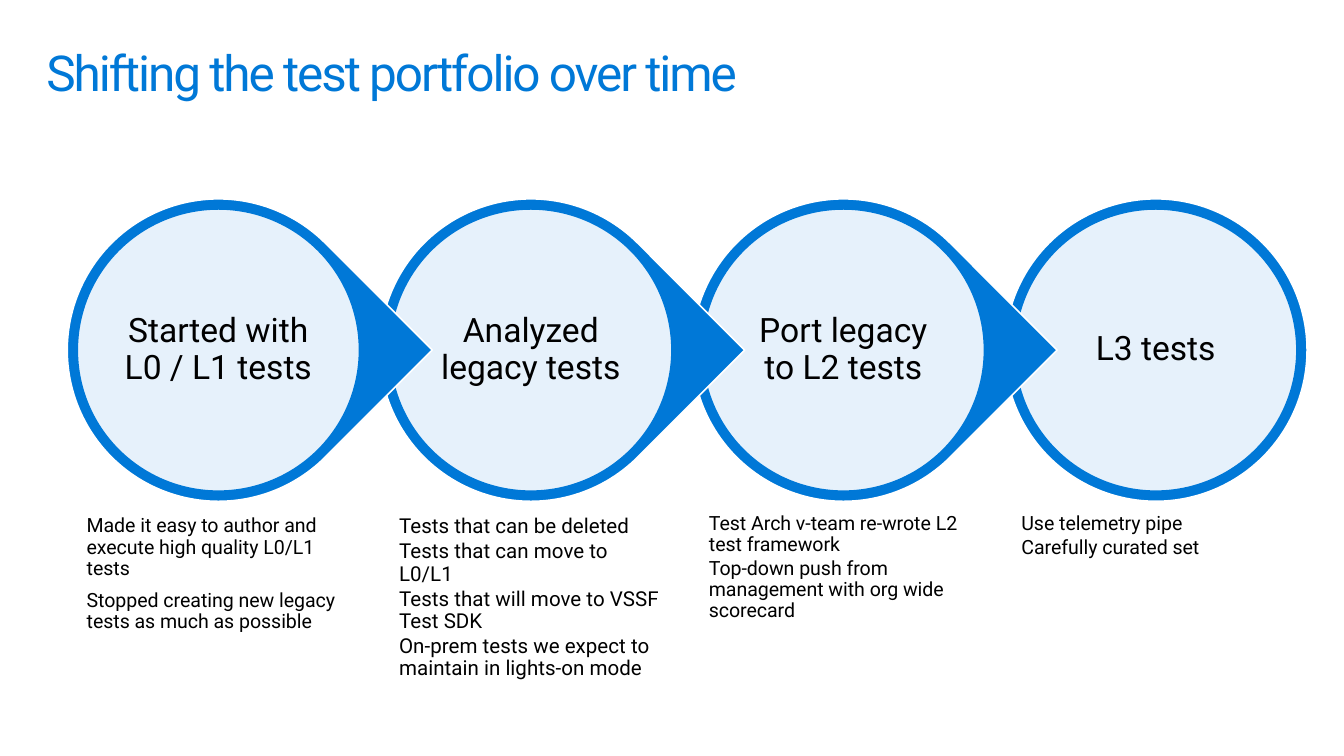
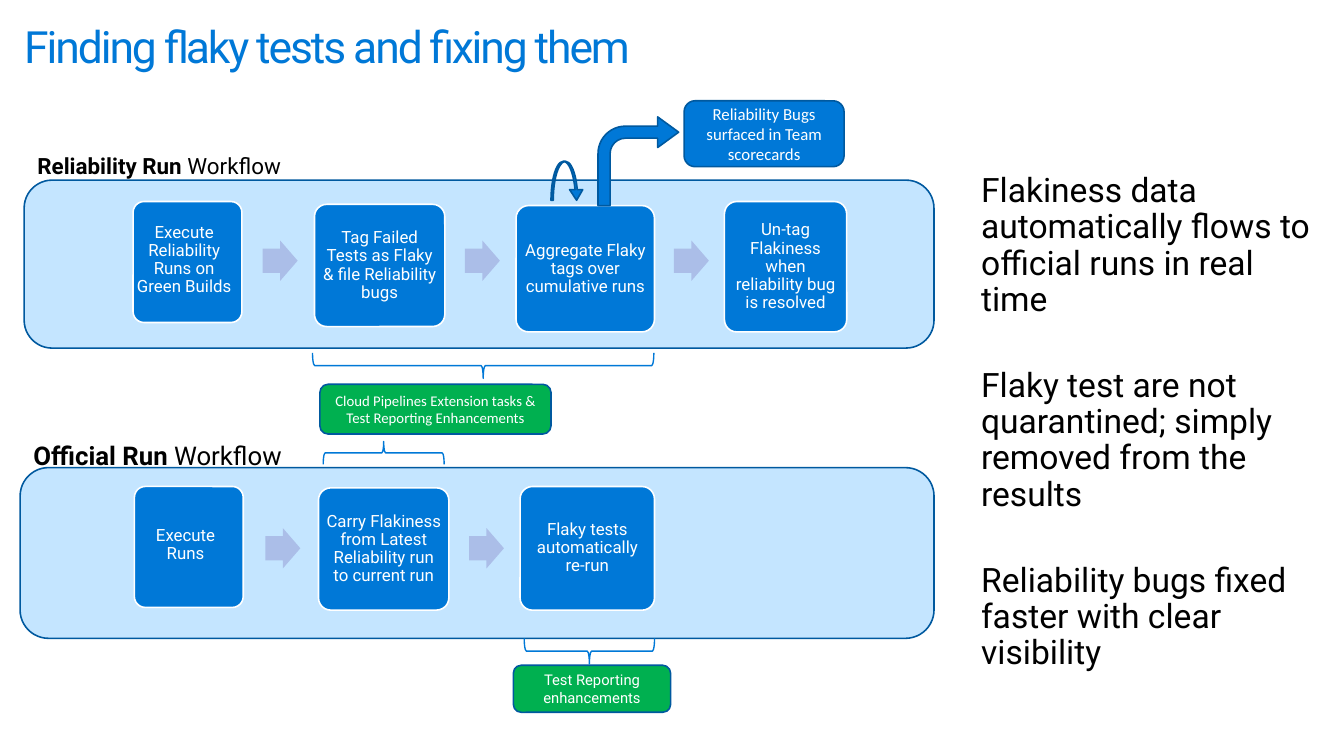
from dataclasses import dataclass
from typing import NamedTuple

from pptx import Presentation
from pptx.dml.color import RGBColor
from pptx.enum.shapes import MSO_SHAPE
from pptx.enum.text import MSO_ANCHOR, MSO_AUTO_SIZE, PP_ALIGN
from pptx.oxml.ns import qn
from pptx.oxml.xmlchemy import OxmlElement
from pptx.util import Inches, Pt

ELLIPSE = MSO_SHAPE.OVAL
TEARDROP = MSO_SHAPE.TEAR
ROUNDED = MSO_SHAPE.ROUNDED_RECTANGLE
RIGHT_ARROW = MSO_SHAPE.RIGHT_ARROW
RIGHT_BRACE = MSO_SHAPE.RIGHT_BRACE
BENT_ARROW = MSO_SHAPE.BENT_ARROW
LOOP_ARROW = MSO_SHAPE.CURVED_DOWN_ARROW
LEFT, CENTER = PP_ALIGN.LEFT, PP_ALIGN.CENTER
TOP, MIDDLE = MSO_ANCHOR.TOP, MSO_ANCHOR.MIDDLE
NO_AUTOFIT = MSO_AUTO_SIZE.NONE

COLUMNS, ROWS = 100, 56.25
CELL = Inches(0.1)
TITLE_LAYOUT, LIST_LAYOUT = 5, 1


@dataclass(frozen=True)
class Theme:
    """Colours, fonts and type sizes shared by the slides."""

    blue: str = "0078D7"
    navy: str = "00599F"
    lane: str = "C4E5FF"
    arrow: str = "ABBEE8"
    green: str = "00B050"
    white: str = "FFFFFF"
    black: str = "000000"
    font: str = "Roboto"
    callout_font: str = "Calibri"
    large: float = 18
    note: float = 10.5
    step: float = 9
    tag: float = 7.9
    outline: float = 0.85
    brace: float = 0.75
    title_spacing: int = -110


THEME = Theme()


class Box(NamedTuple):
    """A rectangle counted in grid cells."""

    left: float
    top: float
    width: float
    height: float

    def inside(self, left, top, width, height):
        """Return a box placed relative to this one."""
        return Box(self.left + left, self.top + top, width, height)

    def inset(self, across, down):
        """Return this box shrunk on every side."""
        return self.inside(across, down, self.width - 2 * across, self.height - 2 * down)

    def emu(self):
        """Return the four lengths in slide units."""
        return [round(length * CELL) for length in self]


class Stage(NamedTuple):
    """One circle of the portfolio chain and the notes below it."""

    label: str
    notes: list
    size: float = THEME.note
    inset: float = 0.5
    after: float = 1.6


class Step(NamedTuple):
    """One step of a workflow lane."""

    text: str
    place: Box


STAGES = [
    Stage("Started with L0 / L1 tests",
          ["Made it easy to author and execute high quality L0/L1 tests",
           "Stopped creating new legacy tests as much as possible"], inset=0.7, after=6),
    Stage("Analyzed legacy tests",
          ["Tests that can be deleted", "Tests that can move to L0/L1",
           "Tests that will move to VSSF Test SDK",
           "On-prem tests we expect to maintain in lights-on mode"], size=11, inset=0.7),
    Stage("Port legacy to L2 tests",
          ["Test Arch v-team re-wrote L2 test framework",
           "Top-down push from management with org wide scorecard"]),
    Stage("L3 tests", ["Use telemetry pipe", "Carefully curated set"]),
]

RELIABILITY_STEPS = [
    Step("Execute Reliability Runs on Green Builds", Box(8.1, 1.6, 8.1, 9)),
    Step("Tag Failed Tests as Flaky & file Reliability bugs", Box(21.6, 1.8, 9.7, 9.1)),
    Step("Aggregate Flaky tags over cumulative runs", Box(36.6, 1.9, 10.3, 9.4)),
    Step("Un-tag Flakiness when reliability bug is resolved", Box(52.1, 1.6, 9.1, 9.7)),
]
OFFICIAL_STEPS = [
    Step("Execute Runs", Box(8.5, 1.4, 8.1, 9)),
    Step("Carry Flakiness from Latest Reliability run to current run", Box(22.2, 1.5, 9.7, 9.1)),
    Step("Flaky tests automatically re-run", Box(37.2, 1.4, 10, 9.2)),
]
FINDINGS = [
    "Flakiness data automatically flows to official runs in real time",
    "Flaky test are not quarantined; simply removed from the results",
    "Reliability bugs fixed faster with clear visibility",
]


def rgb(color):
    """Turn a hex string into a colour."""
    return RGBColor.from_string(color)


def add_figure(slide, kind, box, fill=None, line=None, width=THEME.outline, adjustments=()):
    """Add a preset shape with its fill, outline and adjustments."""
    shape = slide.shapes.add_shape(kind, *box.emu())
    shape.shadow.inherit = False
    if fill:
        shape.fill.solid()
        shape.fill.fore_color.rgb = rgb(fill)
    else:
        shape.fill.background()
    if line:
        shape.line.color.rgb = rgb(line)
        shape.line.width = Pt(width)
    else:
        shape.line.fill.background()
    for index, value in enumerate(adjustments):
        shape.adjustments[index] = value
    return shape


def write(shape, texts, size, color=THEME.black, font=THEME.font, align=LEFT, anchor=TOP,
          insets=(1, 0.5, 1, 0.5), spacing=0.9, gap_before=0, gap_after=0):
    """Fill a shape with formatted paragraphs."""
    frame = shape.text_frame
    frame.word_wrap = True
    frame.auto_size = NO_AUTOFIT
    frame.vertical_anchor = anchor
    frame.margin_left, frame.margin_top, frame.margin_right, frame.margin_bottom = (
        round(inset * CELL) for inset in insets)
    for index, text in enumerate(texts):
        paragraph = frame.paragraphs[0] if index == 0 else frame.add_paragraph()
        paragraph.text = text
        paragraph.alignment = align
        paragraph.line_spacing = spacing
        paragraph.space_before = Pt(gap_before if index else 0)
        paragraph.space_after = Pt(gap_after)
        for run in paragraph.runs:
            style_run(run, size, color, font)


def style_run(run, size, color=THEME.black, font=THEME.font, bold=False):
    """Set the typeface, size, colour and weight of a run."""
    run.font.name = font
    run.font.size = Pt(size)
    run.font.color.rgb = rgb(color)
    run.font.bold = bold


def add_text(slide, box, texts, size, **style):
    """Add a text box with formatted paragraphs."""
    write(slide.shapes.add_textbox(*box.emu()), texts, size, **style)


def place(shape, box):
    """Move a placeholder to a box."""
    shape.left, shape.top, shape.width, shape.height = box.emu()


def add_titled_slide(presentation, layout, box, title, size):
    """Add a slide with the shared title style."""
    slide = presentation.slides.add_slide(presentation.slide_layouts[layout])
    shape = slide.shapes.title
    place(shape, box)
    write(shape, [title], size, color=THEME.blue, insets=(0, 1.8, 0, 0))
    for run in shape.text_frame.paragraphs[0].runs:
        run.font._element.set("spc", str(THEME.title_spacing))
    return slide


def add_stage(slide, box, stage, is_last):
    """Draw a ringed circle with its label, and its notes below."""
    ring = add_figure(slide, ELLIPSE if is_last else TEARDROP, box, THEME.blue, THEME.white)
    if not is_last:
        ring.adjustments[0] = 1
        ring.rotation = 45
    disc_box = box.inset(0.75, 0.75)
    disc = add_figure(slide, ELLIPSE, disc_box, THEME.white, THEME.blue)
    alpha = OxmlElement("a:alpha")
    alpha.set("val", "90000")
    disc.element.spPr.find(qn("a:solidFill"))[0].append(alpha)
    add_text(slide, box.inset(3.75, 3.75), [stage.label], THEME.large, align=CENTER,
             anchor=MIDDLE, insets=(0.3,) * 4)
    add_text(slide, disc_box.inside(0, 22.15, disc_box.width, 12.3), stage.notes, stage.size,
             insets=(stage.inset,) * 4, gap_after=stage.after)


def add_lane(slide, box, name, name_size, steps):
    """Draw a workflow lane with its name, steps and the arrows between them."""
    add_figure(slide, ROUNDED, box, THEME.lane, THEME.navy)
    name_box = slide.shapes.add_textbox(*box.inside(0, -2.55, 23.2, 3).emu())
    write(name_box, [name], name_size, spacing=1)
    style_run(name_box.text_frame.paragraphs[0].runs[0], name_size, bold=True)
    workflow = name_box.text_frame.paragraphs[0].add_run()
    workflow.text = " Workflow"
    style_run(workflow, name_size)
    for index, step in enumerate(steps):
        step_box = box.inside(*step.place)
        add_figure(slide, ROUNDED, step_box, THEME.blue, THEME.white, adjustments=[0.1])
        label_box = step_box.inset(0.2, 0.3)
        if index == 0:
            label_box = step_box.inside(-0.1, 0.1, 7.8, 8.5)
        add_text(slide, label_box, [step.text], THEME.step, color=THEME.white, align=CENTER,
                 anchor=MIDDLE, insets=(0.35, 0.4, 0.35, 0.4))
    for before, after in zip(steps, steps[1:]):
        middle = (before.place.left + before.place.width + after.place.left) / 2
        add_figure(slide, RIGHT_ARROW, box.inside(middle - 1.15, 4.5, 2.6, 3), THEME.arrow,
                   adjustments=[0.6, 0.5])


def add_callout(slide, box, text, fill, size, font):
    """Draw a rounded callout with centred text."""
    shape = add_figure(slide, ROUNDED, box, fill, THEME.navy)
    write(shape, [text], size, color=THEME.white, font=font, align=CENTER, anchor=MIDDLE,
          insets=(0.6, 0.5, 0.6, 0.5), spacing=1)


def add_brace(slide, box, rotation):
    """Draw a brace lying along the given box."""
    across = (box.width - box.height) / 2
    upright = box.inside(across, -across, box.height, box.width)
    brace = add_figure(slide, RIGHT_BRACE, upright, line=THEME.blue, width=THEME.brace)
    brace.rotation = rotation


def add_findings(slide, box):
    """Fill the body placeholder with unbulleted findings."""
    body = slide.placeholders[1]
    place(body, box)
    write(body, FINDINGS, THEME.large, insets=(1.8, 0.5, 1, 0.5), gap_before=26.6)
    for paragraph in body.text_frame.paragraphs:
        properties = paragraph._p.get_or_add_pPr()
        properties.set("marL", "0")
        properties.set("indent", "0")
        properties.append(OxmlElement("a:buNone"))


def build_portfolio(presentation):
    """Build the slide with the chain of test stages."""
    slide = add_titled_slide(presentation, TITLE_LAYOUT, Box(3.45, 1.8, 93, 6.1),
                             "Shifting the test portfolio over time", 26.5)
    first = Box(5, 14.8, 22.5, 22.5)
    for index, stage in reversed(list(enumerate(STAGES))):
        add_stage(slide, first.inside(23.25 * index, 0, 22.5, 22.5), stage,
                  index == len(STAGES) - 1)


def build_flaky(presentation):
    """Build the slide with the two workflow lanes and the findings."""
    slide = add_titled_slide(presentation, LIST_LAYOUT, Box(1.8, 0.1, 82.3, 5.4),
                             "Finding flaky tests and fixing them", 23.8)
    add_lane(slide, Box(1.8, 13.4, 67.7, 12.5), "Reliability Run", 12, RELIABILITY_STEPS)
    add_lane(slide, Box(1.5, 34.8, 68, 12.7), "Official Run", 13.8, OFFICIAL_STEPS)
    add_callout(slide, Box(38.2, 49.5, 11.7, 3.5), "Test Reporting enhancements",
                THEME.green, THEME.tag, THEME.font)
    add_callout(slide, Box(23.8, 28.6, 17.2, 3.7),
                "Cloud Pipelines Extension tasks &\vTest Reporting Enhancements",
                THEME.green, THEME.tag, THEME.callout_font)
    add_callout(slide, Box(50.9, 7.5, 11.9, 4.9), "Reliability Bugs surfaced in Team scorecards",
                THEME.blue, THEME.step, THEME.callout_font)
    add_brace(slide, Box(23.25, 26.25, 25.4, 1.9), 90)
    add_brace(slide, Box(24.05, 32.85, 9, 1.7), 270)
    add_brace(slide, Box(39, 47.5, 9.7, 1.9), 90)
    add_figure(slide, LOOP_ARROW, Box(41, 12, 2.4, 2.9), THEME.blue, THEME.navy,
               adjustments=[0.07, 0.41, 0.33])
    add_figure(slide, BENT_ARROW, Box(44.5, 8.7, 6, 6.6), THEME.blue, THEME.navy,
               adjustments=[0.15, 0.19, 0.26, 0.34])
    add_findings(slide, Box(71.2, 12.4, 28.4, 37.8))


def main():
    """Build and save the presentation."""
    presentation = Presentation()
    presentation.slide_width = round(COLUMNS * CELL)
    presentation.slide_height = round(ROWS * CELL)
    build_portfolio(presentation)
    build_flaky(presentation)
    presentation.save("out.pptx")


if __name__ == "__main__":
    main()
